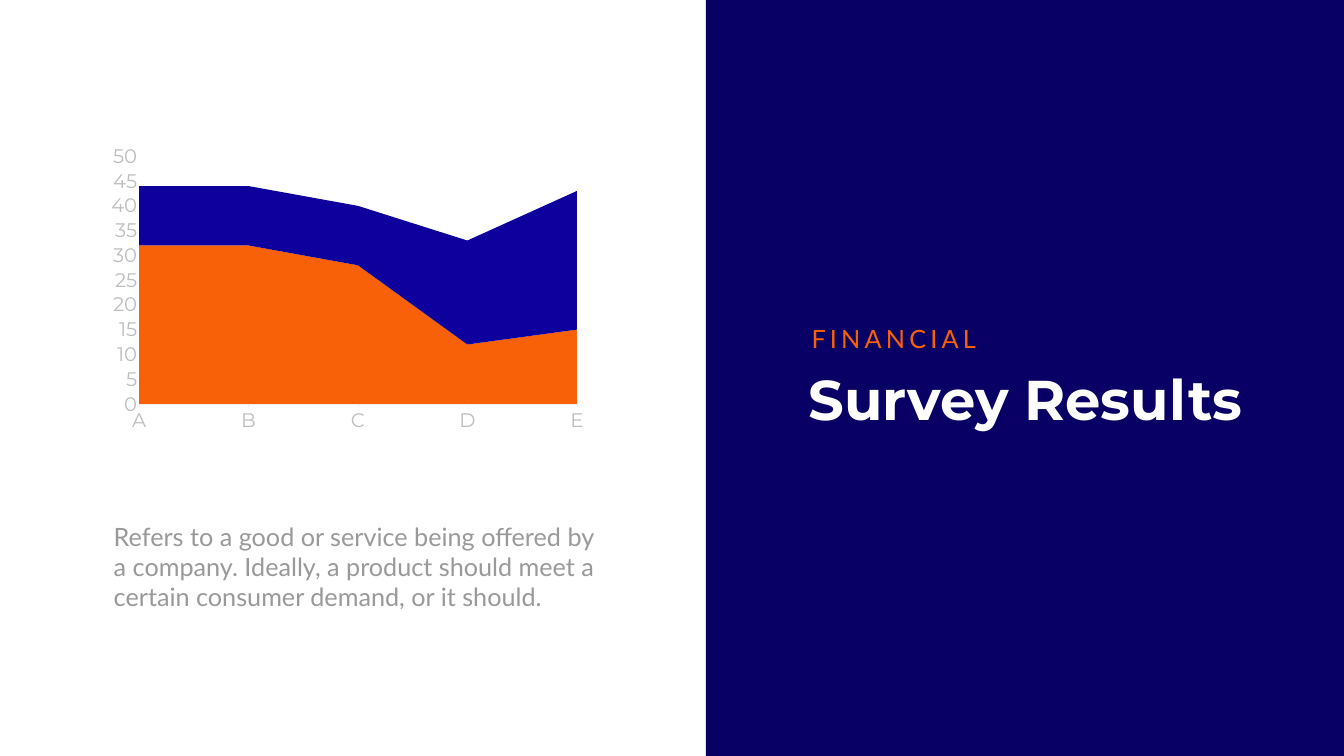
from collections import namedtuple
from dataclasses import dataclass

from lxml.etree import SubElement
from pptx import Presentation
from pptx.chart.data import CategoryChartData
from pptx.dml.color import RGBColor
from pptx.enum.chart import XL_CHART_TYPE, XL_TICK_MARK
from pptx.enum.shapes import MSO_SHAPE
from pptx.enum.text import MSO_ANCHOR, MSO_AUTO_SIZE, PP_ALIGN
from pptx.oxml.ns import qn
from pptx.util import Inches, Pt


@dataclass(frozen=True)
class Theme:
    """Colours, fonts and type sizes of the slide."""
    navy: str = "080064"
    blue: str = "0E009D"
    orange: str = "F96108"
    white: str = "FFFFFF"
    grey: str = "999999"
    pale: str = "BDBDBD"
    rule: str = "F0F0F0"
    head: str = "Montserrat"
    body: str = "Lato"
    big: int = 80
    text: int = 36
    label: int = 28


THEME = Theme()


class Box(namedtuple("Box", "left top width height")):
    """A rectangle in EMU."""

    def inner(self, left, top, width, height):
        """Return the inner box given by shares of this one."""
        return Box(int(self.left + left * self.width), int(self.top + top * self.height),
                   int(width * self.width), int(height * self.height))


def assign(item, values):
    """Set each named attribute of an item."""
    for name, value in values.items():
        setattr(item, name, value)


def style(font, face, size, color, bold=False):
    """Format a font."""
    assign(font, {"name": face, "size": Pt(size), "bold": bold})
    font.color.rgb = RGBColor.from_string(color)


def write(shape, box, text, look, inset=(0.1, 0.05)):
    """Place a text shape in a box and fill it with styled text."""
    assign(shape, dict(zip(("left", "top", "width", "height"), box)))
    frame = shape.text_frame
    side, edge = map(Inches, inset)
    assign(frame, {"text": text, "word_wrap": True,
                   "auto_size": MSO_AUTO_SIZE.SHAPE_TO_FIT_TEXT,
                   "vertical_anchor": MSO_ANCHOR.TOP,
                   "margin_left": side, "margin_right": side,
                   "margin_top": edge, "margin_bottom": edge})
    para = frame.paragraphs[0]
    assign(para, {"alignment": PP_ALIGN.LEFT, "line_spacing": 1.0})
    style(para.runs[0].font, *look)


def paint(fill, color):
    """Give a fill one solid colour."""
    fill.solid()
    fill.fore_color.rgb = RGBColor.from_string(color)


def fix_plot(chart, shares):
    """Pin the inner plot area to shares of the chart."""
    area = chart.element.find(".//" + qn("c:plotArea"))
    layout = area.find(qn("c:layout"))
    if layout is None:
        layout = SubElement(area, qn("c:layout"))
        area.insert(0, layout)
    manual = SubElement(layout, qn("c:manualLayout"))
    values = {"layoutTarget": "inner", "xMode": "edge", "yMode": "edge",
              **dict(zip("xywh", shares))}
    for name, value in values.items():
        SubElement(manual, qn("c:" + name)).set("val", str(value))


def draw_chart(slide, box):
    """Draw the stacked area chart of the survey."""
    data = CategoryChartData()
    data.categories = list("ABCDE")
    data.add_series("Series 1", (32, 32, 28, 12, 15))
    data.add_series("Series 2", (12, 12, 12, 21, 28))
    chart = slide.shapes.add_chart(XL_CHART_TYPE.AREA_STACKED, *box, data).chart
    assign(chart, {"has_title": False, "has_legend": False})
    style(chart.font, THEME.head, THEME.label, THEME.grey)
    for series, color in zip(chart.plots[0].series, (THEME.orange, THEME.blue)):
        paint(series.format.fill, color)
        series.format.line.fill.background()
    cats, vals = chart.category_axis, chart.value_axis
    for axis, tick in ((cats, XL_TICK_MARK.OUTSIDE), (vals, XL_TICK_MARK.NONE)):
        assign(axis, {"has_major_gridlines": False, "major_tick_mark": tick,
                      "minor_tick_mark": XL_TICK_MARK.NONE})
        style(axis.tick_labels.font, THEME.head, THEME.label, THEME.pale)
    cats.format.line.width = Pt(0.75)
    cats.format.line.color.rgb = RGBColor.from_string(THEME.rule)
    vals.format.line.fill.background()
    assign(vals, {"minimum_scale": 0, "maximum_scale": 50, "major_unit": 5})
    fix_plot(chart, (0.076, 0.06, 0.89, 0.825))


def draw_survey(slide, box):
    """Place the chart and the text below it."""
    draw_chart(slide, box.inner(0.144, 0.183, 0.697, 0.397))
    note = box.inner(0.144, 0.681, 0.726, 0.137)
    write(slide.shapes.add_textbox(*note), note,
          "Refers to a good or service being offered by a company. "
          "Ideally, a product should meet a certain consumer demand, or it should.",
          (THEME.body, THEME.text, THEME.grey), (0.24, 0.12))


def draw_panel(slide, box):
    """Place the dark panel with its heading."""
    panel = slide.shapes.add_shape(MSO_SHAPE.RECTANGLE, *box)
    panel.shadow.inherit = False
    paint(panel.fill, THEME.navy)
    panel.line.fill.background()
    title = slide.shapes.title
    title.element.getparent().append(title.element)
    write(title, box.inner(0.153, 0.479, 0.706, 0.097), "Survey Results",
          (THEME.head, THEME.big, THEME.white, True))
    over = box.inner(0.158, 0.425, 0.291, 0.047)
    label = slide.shapes.add_textbox(*over)
    write(label, over, "FINANCIAL", (THEME.body, THEME.text, THEME.orange))
    label.element.find(".//" + qn("a:rPr")).set("spc", "600")


def main():
    """Build and save the slide."""
    deck = Presentation()
    assign(deck, {"slide_width": Inches(26.66), "slide_height": Inches(15)})
    slide = deck.slides.add_slide(deck.slide_layouts[5])
    page = Box(0, 0, deck.slide_width, deck.slide_height)
    split = 14 / 26.66
    draw_panel(slide, page.inner(split, 0, 1 - split, 1))
    draw_survey(slide, page.inner(0, 0, split, 1))
    deck.save("out.pptx")


if __name__ == "__main__":
    main()
